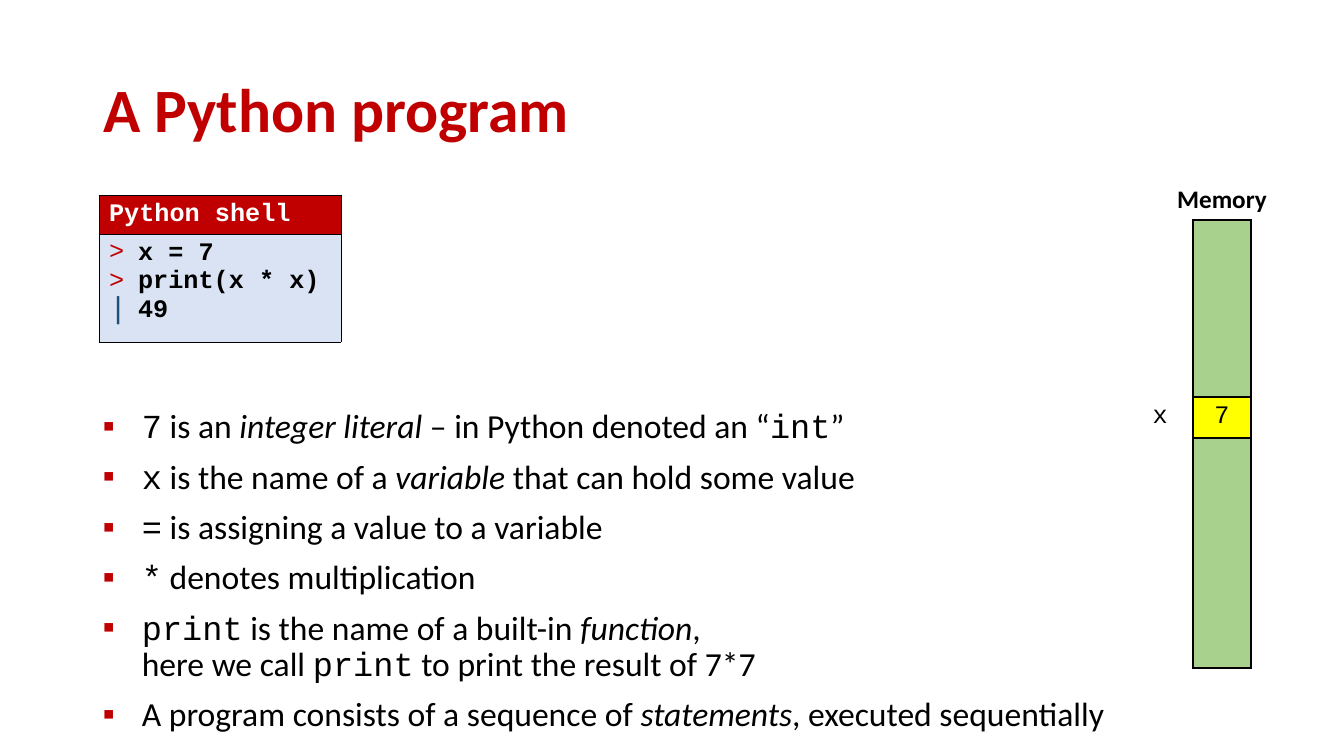
from lxml import etree
from pptx import Presentation
from pptx.dml.color import RGBColor
from pptx.enum.text import MSO_ANCHOR, PP_ALIGN
from pptx.oxml.ns import qn
from pptx.util import Pt

MIDDLE, TOP = MSO_ANCHOR.MIDDLE, MSO_ANCHOR.TOP
LEFT, CENTER, RIGHT = PP_ALIGN.LEFT, PP_ALIGN.CENTER, PP_ALIGN.RIGHT
BLACK = RGBColor(0x00, 0x00, 0x00)
WHITE = RGBColor(0xFF, 0xFF, 0xFF)
RED = RGBColor(0xC0, 0x00, 0x00)
NAVY = RGBColor(0x1F, 0x4E, 0x79)
PALE_BLUE = RGBColor(0xDA, 0xE3, 0xF3)
GREEN = RGBColor(0xA9, 0xD1, 0x8E)
YELLOW = RGBColor(0xFF, 0xFF, 0x00)
PLAIN_TABLE = "{2D5ABB26-0587-4C30-8999-92F81FD0307C}"

TITLE = "A Python program"
TITLE_BOX = (93, 40, 1159, 146)
TITLE_FORMAT = {"name": "Calibri", "size": Pt(44), "bold": True, "color": RED}

SHELL_TITLE = "Python shell"
SHELL_LINES = [(">", RED, 100, "x = 7"), (">", RED, 100, "print(x * x)"), ("|", NAVY, 120, "49")]
SHELL_BOX = (99, 195)
SHELL_COLUMNS, SHELL_ROWS = [242], [39, 108]
SHELL_INDENT = 29
SHELL_FORMAT = {"name": "Courier New", "size": Pt(18), "bold": True, "color": BLACK}

BODY = {"name": "Calibri", "size": Pt(24), "color": BLACK}
TEXT = BODY | {"italic": False}
TERM = BODY | {"italic": True}
CODE = BODY | {"name": "Courier New"}
NOTES = [
    [("7", CODE), (" is an ", TEXT), ("integer literal", TERM),
     (" – in Python denoted an “", TEXT), ("int", CODE), ("”", TEXT)],
    [("x", CODE), (" is the name of a ", TEXT), ("variable", TERM),
     (" that can hold some value", TEXT)],
    [("=", CODE), (" is assigning a value to a variable", TEXT)],
    [("*", CODE), (" denotes multiplication", TEXT)],
    [("print", CODE), (" is the name of a built-in ", TEXT), ("function", TERM),
     (", \nhere we call ", TEXT), ("print", CODE), (" to print the result of 7*7", TEXT)],
    [("A program consists of a sequence of ", TEXT), ("statements", TERM),
     (", executed sequentially", TEXT)],
]
NOTES_BOX = (93, 405, 1045, 351)
NOTES_INDENT = 39

MEMORY_BOX = (1095, 179)
MEMORY_COLUMNS, MEMORY_ROWS = [98, 58, 98], [41, 177, 41, 230]
MEMORY_FILLS = {1: GREEN, 2: YELLOW, 3: GREEN}
MEMORY_LABEL = {"name": "Calibri", "size": Pt(18), "bold": True, "color": BLACK}
MEMORY_CODE = {"name": "Courier New", "size": Pt(18), "bold": False, "color": BLACK}
MEMORY_TEXTS = [
    (0, 0, "Memory", MEMORY_LABEL, CENTER),
    (2, 0, "x ", MEMORY_CODE, RIGHT),
    (2, 1, "7", MEMORY_CODE, CENTER),
]


def px(value):
    return round(value * 914400 / 100.8)


def add_run(paragraph, text, values):
    for position, line in enumerate(text.split("\n")):
        if position:
            paragraph.add_line_break()
        run = paragraph.add_run()
        run.text = line
        for name, value in values.items():
            if name == "color":
                run.font.color.rgb = value
            else:
                setattr(run.font, name, value)


def add_bullet(paragraph, character, color, percent, font, indent):
    properties = paragraph._p.get_or_add_pPr()
    properties.set("marL", str(px(indent)))
    properties.set("indent", str(-px(indent)))
    bullet_color = etree.SubElement(properties, qn("a:buClr"))
    etree.SubElement(bullet_color, qn("a:srgbClr"), val=str(color))
    etree.SubElement(properties, qn("a:buSzPct"), val=str(percent * 1000))
    etree.SubElement(properties, qn("a:buFont"), typeface=font)
    etree.SubElement(properties, qn("a:buChar"), char=character)


def next_paragraph(frame, position):
    return frame.add_paragraph() if position else frame.paragraphs[0]


def add_plain_table(slide, box, columns, rows):
    frame = slide.shapes.add_table(len(rows), len(columns), px(box[0]), px(box[1]),
                                   px(sum(columns)), px(sum(rows)))
    table = frame.table
    table.first_row = table.horz_banding = False
    table._tbl.tblPr.find(qn("a:tableStyleId")).text = PLAIN_TABLE
    for column, width in zip(table.columns, columns):
        column.width = px(width)
    for row, height in zip(table.rows, rows):
        row.height = px(height)
    return table


def paint_cell(cell, fill, line_width):
    properties = cell._tc.get_or_add_tcPr()
    for edge in ("a:lnL", "a:lnR", "a:lnT", "a:lnB"):
        line = etree.SubElement(properties, qn(edge), w=str(Pt(line_width)))
        solid = etree.SubElement(line, qn("a:solidFill"))
        etree.SubElement(solid, qn("a:srgbClr"), val=str(BLACK))
    cell.fill.solid()
    cell.fill.fore_color.rgb = fill


def add_title(slide):
    title = slide.shapes.title
    title.left, title.top, title.width, title.height = map(px, TITLE_BOX)
    title.text_frame.vertical_anchor = MIDDLE
    paragraph = title.text_frame.paragraphs[0]
    paragraph.alignment = LEFT
    paragraph.line_spacing = 0.9
    add_run(paragraph, TITLE, TITLE_FORMAT)


def add_shell(slide):
    table = add_plain_table(slide, SHELL_BOX, SHELL_COLUMNS, SHELL_ROWS)
    header, body = table.cell(0, 0), table.cell(1, 0)
    paint_cell(header, RED, 0.5)
    paint_cell(body, PALE_BLUE, 0.5)
    header.vertical_anchor = MIDDLE
    add_run(header.text_frame.paragraphs[0], SHELL_TITLE, SHELL_FORMAT | {"color": WHITE})
    for position, (prompt, color, percent, code) in enumerate(SHELL_LINES):
        paragraph = next_paragraph(body.text_frame, position)
        add_bullet(paragraph, prompt, color, percent, "Courier New", SHELL_INDENT)
        add_run(paragraph, code, SHELL_FORMAT)


def add_notes_text(slide):
    frame = slide.shapes.add_textbox(*map(px, NOTES_BOX)).text_frame
    frame.word_wrap = True
    frame.vertical_anchor = TOP
    for position, runs in enumerate(NOTES):
        paragraph = next_paragraph(frame, position)
        add_bullet(paragraph, "▪", RED, 100, "Calibri", NOTES_INDENT)
        paragraph.line_spacing = 0.9
        paragraph.space_before = Pt(10 if position else 0)
        for text, values in runs:
            add_run(paragraph, text, values)


def add_memory(slide):
    table = add_plain_table(slide, MEMORY_BOX, MEMORY_COLUMNS, MEMORY_ROWS)
    table.cell(0, 0).merge(table.cell(0, 2))
    for row, fill in MEMORY_FILLS.items():
        paint_cell(table.cell(row, 1), fill, 1)
    for row, column, text, values, alignment in MEMORY_TEXTS:
        paragraph = table.cell(row, column).text_frame.paragraphs[0]
        paragraph.alignment = alignment
        add_run(paragraph, text, values)


def main():
    presentation = Presentation()
    presentation.slide_width, presentation.slide_height = px(1344), px(756)
    slide = presentation.slides.add_slide(presentation.slide_layouts[5])
    add_title(slide)
    add_shell(slide)
    add_notes_text(slide)
    add_memory(slide)
    presentation.save("out.pptx")


if __name__ == "__main__":
    main()
